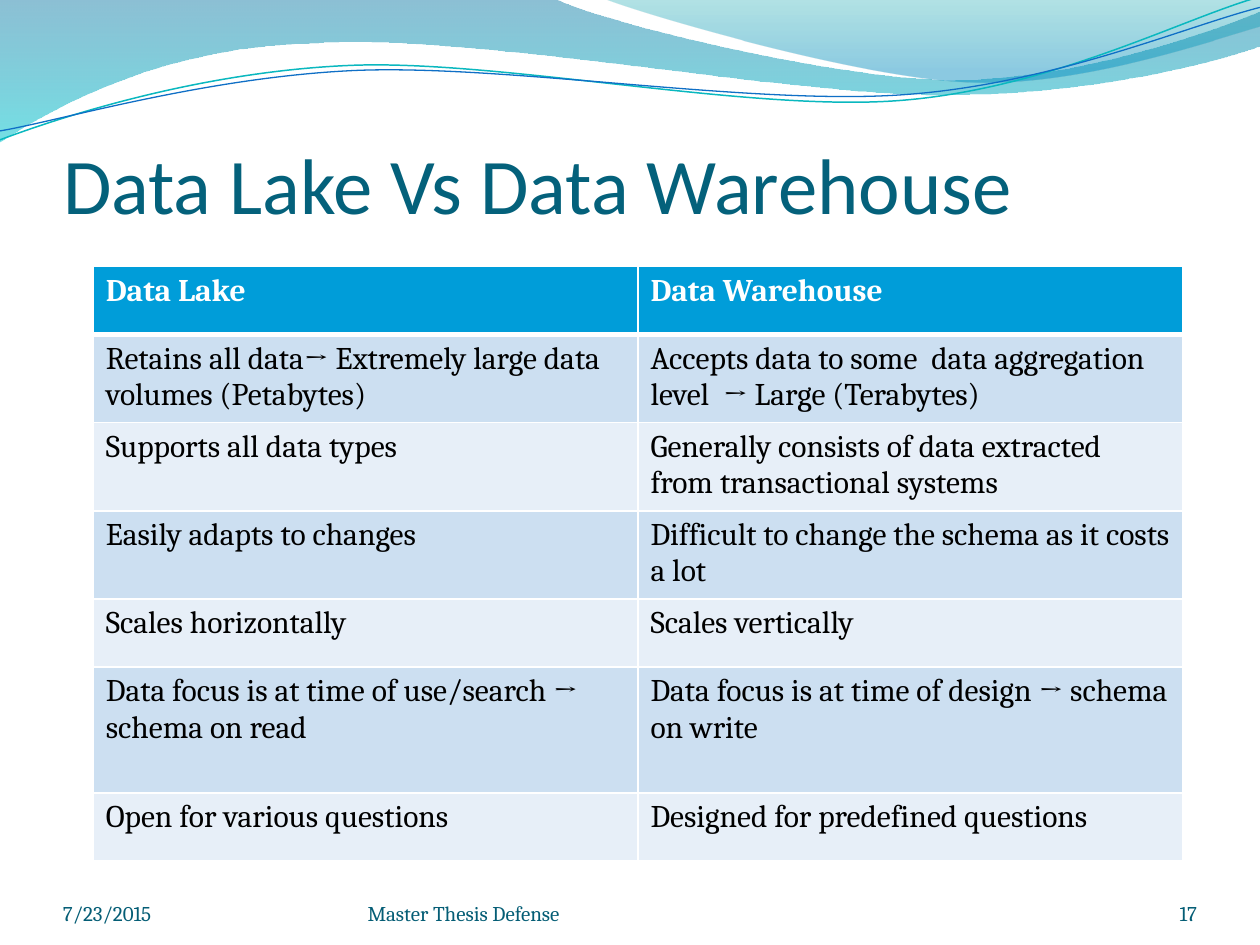
from lxml.etree import SubElement
from pptx import Presentation
from pptx.dml.color import RGBColor
from pptx.enum.text import MSO_ANCHOR as Anchor, PP_ALIGN as Align
from pptx.oxml.ns import qn
from pptx.util import Cm, Pt

WHITE = RGBColor(0xFF, 0xFF, 0xFF)
BLACK = RGBColor(0x00, 0x00, 0x00)
TITLE_TEAL = RGBColor(0x04, 0x61, 0x7B)
FOOTER_TEAL = RGBColor(0x04, 0x5D, 0x75)
HEADER_BLUE = RGBColor(0x00, 0x9D, 0xD9)
BAND_DARK = RGBColor(0xCC, 0xDF, 0xF1)
BAND_LIGHT = RGBColor(0xE7, 0xEF, 0xF8)
WAVE_BLUE = RGBColor(0x00, 0x74, 0xA1)
WAVE_CYAN = RGBColor(0x00, 0xC6, 0xCF)
CREST_TEAL = RGBColor(0x00, 0xA1, 0xA9)
CREST_BLUE = RGBColor(0x00, 0x8B, 0xBF)
LINE_TEAL = RGBColor(0x0A, 0xB8, 0xBF)
LINE_BLUE = RGBColor(0x0F, 0x6F, 0xC6)

WAVE = [
    [(0, 0)], [(11.18, -0.03)],
    [(12.09, 0.43), (16.87, 1.6), (19.25, 1.6)],
    [(21.67, 1.6), (24.33, 0.66), (25.4, 0.23)],
    [(25.43, 0.91)],
    [(24.97, 1.12), (22.1, 1.93), (18.95, 1.91)],
    [(15.8, 1.91), (9.7, 0.71), (6.53, 0.86)],
    [(3.28, 0.91), (1.17, 2.11), (-0.03, 2.87)],
]
CREST = [
    [(12.17, -0.03)],
    [(12.93, 0.28), (17.32, 1.57), (19.53, 1.65)],
    [(21.74, 1.75), (24.41, 0.81), (25.4, 0.53)],
    [(25.4, 0)],
]
TEAL_LINE = [
    [(0, 2.82)],
    [(1.22, 2.36), (4.01, 1.45), (7.04, 1.32)],
    [(10.03, 1.19), (15.06, 2.26), (18.11, 2.03)],
    [(21.16, 1.8), (23.83, 0.38), (25.35, -0.05)],
]
BLUE_LINE = [
    [(0, 2.64)],
    [(1.19, 2.44), (4.17, 1.55), (7.19, 1.42)],
    [(10.24, 1.3), (15.16, 2.13), (18.21, 1.91)],
    [(21.23, 1.7), (23.9, 0.53), (25.4, 0.15)],
]

ROWS = [
    ("Data Lake", "Data Warehouse"),
    ("Retains all data→ Extremely large data volumes (Petabytes)",
     "Accepts data to some  data aggregation level  → Large (Terabytes)"),
    ("Supports all data types",
     "Generally consists of data extracted from transactional systems"),
    ("Easily adapts to changes",
     "Difficult to change the schema as it costs a lot"),
    ("Scales horizontally", "Scales vertically"),
    ("Data focus is at time of use/search → schema on read",
     "Data focus is at time of design → schema on write"),
    ("Open for various questions", "Designed for predefined questions"),
]
ROW_HEIGHTS = [1.37, 1.78, 1.78, 1.78, 1.37, 2.54, 1.37]


def write_text(frame, text, size, color, font="Cambria", bold=False, align=Align.LEFT):
    """Put one formatted run into a text frame."""
    paragraph = frame.paragraphs[0]
    paragraph.alignment = align
    run = paragraph.add_run()
    run.text = text
    run.font.name = font
    run.font.size = Pt(size)
    run.font.bold = bold
    run.font.color.rgb = color


def set_frame(frame, top_inset=0):
    """Anchor a wrapped text frame at the bottom with no side insets."""
    frame.word_wrap = True
    frame.vertical_anchor = Anchor.BOTTOM
    frame.margin_left = frame.margin_right = frame.margin_bottom = 0
    frame.margin_top = Cm(top_inset)


def bend_segments(shape, segments):
    """Merge each triple of straight steps that stands for a curve into one Bézier."""
    steps = iter(list(shape.element.spPr.iter(qn("a:lnTo"))))
    for segment in segments[1:]:
        first, *others = [next(steps) for point in segment]
        if others:
            first.tag = qn("a:cubicBezTo")
            for step in others:
                first.append(step[0])
                step.getparent().remove(step)


def add_outline(slide, left, top, segments, closed):
    """Draw a curved freeform relative to the given corner."""
    points = [(Cm(left + x), Cm(top + y)) for segment in segments for x, y in segment]
    builder = slide.shapes.build_freeform(*points[0], scale=1)
    builder.add_line_segments(points[1:], close=closed)
    shape = builder.convert_to_shape()
    shape.shadow.inherit = False
    bend_segments(shape, segments)
    return shape


def add_wave(slide, left, top, segments, stops):
    """Draw a wave with a translucent gradient from top to bottom."""
    shape = add_outline(slide, left, top, segments, closed=True)
    shape.line.fill.background()
    shape.fill.gradient()
    shape.fill.gradient_angle = 270
    for stop, (position, color, opacity) in zip(shape.fill.gradient_stops, stops):
        stop.position = position
        stop.color.rgb = color
    colors = shape.element.spPr.iter(qn("a:srgbClr"))
    for element, (position, color, opacity) in zip(colors, stops):
        SubElement(element, qn("a:alpha"), val=str(opacity * 1000))


def add_banner(slide, left, top):
    """Draw the waves and thin lines along the top edge."""
    add_wave(slide, left, top, WAVE, [(0, WAVE_BLUE, 45), (1, WAVE_CYAN, 55)])
    add_wave(slide, left, top, CREST, [(0, CREST_TEAL, 30), (0.8, CREST_BLUE, 45)])
    for segments, color, width in ((TEAL_LINE, LINE_TEAL, 0.85), (BLUE_LINE, LINE_BLUE, 0.75)):
        shape = add_outline(slide, left, top, segments, closed=False)
        shape.fill.background()
        shape.line.color.rgb = color
        shape.line.width = Pt(width)


def add_title(slide, left, top, width, height):
    """Place and format the title placeholder."""
    title = slide.shapes.title
    title.left, title.top, title.width, title.height = map(Cm, (left, top, width, height))
    set_frame(title.text_frame, top_inset=0.13)
    write_text(title.text_frame, "Data Lake Vs Data Warehouse", 45, TITLE_TEAL, font="Calibri")


def set_borders(cell, top=1, bottom=1):
    """Give a table cell white borders, with widths in points."""
    properties = cell._tc.get_or_add_tcPr()
    for side, width in (("L", 1), ("R", 1), ("T", top), ("B", bottom)):
        line = SubElement(properties, qn(f"a:ln{side}"), w=str(Pt(width)))
        fill = SubElement(line, qn("a:solidFill"))
        SubElement(fill, qn("a:srgbClr"), val=str(WHITE))


def add_comparison(slide, left, top, width):
    """Build the two-column comparison table."""
    box = map(Cm, (left, top, width, sum(ROW_HEIGHTS)))
    table = slide.shapes.add_table(len(ROWS), 2, *box).table
    for column in table.columns:
        column.width = Cm(width / 2)
    for index, (texts, height) in enumerate(zip(ROWS, ROW_HEIGHTS)):
        table.rows[index].height = Cm(height)
        header = index == 0
        band = HEADER_BLUE if header else BAND_DARK if index % 2 else BAND_LIGHT
        for cell, text in zip(table.rows[index].cells, texts):
            set_borders(cell, top=3 if index == 1 else 1, bottom=3 if header else 1)
            cell.fill.solid()
            cell.fill.fore_color.rgb = band
            write_text(cell.text_frame, text, 18, WHITE if header else BLACK, bold=header)


def add_footer(slide, left, top, height):
    """Place the date, the talk name and the slide number."""
    parts = [
        (0, 5.92, "7/23/2015", Align.LEFT),
        (6.14, 9.32, "Master Thesis Defense", Align.LEFT),
        (20.75, 2.11, "17", Align.RIGHT),
    ]
    for offset, width, text, align in parts:
        box = slide.shapes.add_textbox(Cm(left + offset), Cm(top), Cm(width), Cm(height))
        set_frame(box.text_frame)
        write_text(box.text_frame, text, 12, FOOTER_TEAL, align=align)


def main():
    """Build the slide and save the presentation."""
    presentation = Presentation()
    presentation.slide_width, presentation.slide_height = Cm(25.4), Cm(19.05)
    slide = presentation.slides.add_slide(presentation.slide_layouts[5])
    add_banner(slide, 0, 0)
    add_title(slide, 1.27, 2.62, 22.86, 2.03)
    add_comparison(slide, 1.88, 5.37, 21.96)
    add_footer(slide, 1.27, 17.65, 1.02)
    presentation.save("out.pptx")


if __name__ == "__main__":
    main()
